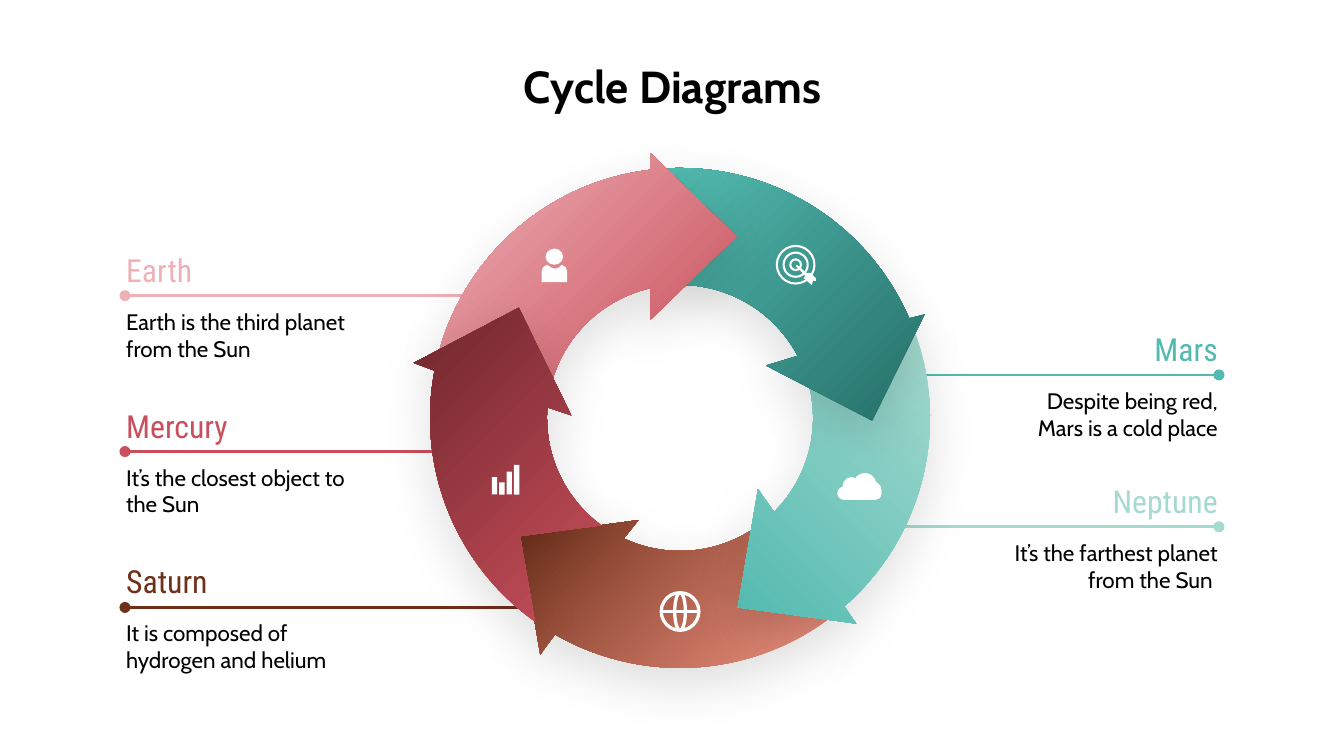
import math
from dataclasses import dataclass

from lxml import etree
from pptx import Presentation
from pptx.dml.color import RGBColor
from pptx.enum import shapes, text
from pptx.oxml import ns
from pptx import util as u

KIND = shapes.MSO_SHAPE
SIDE = text.PP_ALIGN


@dataclass(frozen=True)
class Theme:
    """Colours, fonts and type sizes of the slide."""
    ink: str = "000000"
    white: str = "FFFFFF"
    pink: str = "EEB1B6"
    red: str = "C84F5B"
    wine: str = "6F262D"
    brown: str = "6F301A"
    coral: str = "EE9281"
    teal: str = "52BAB0"
    pine: str = "256F68"
    mint: str = "A5DACF"
    body_font: str = "Cabin"
    label_font: str = "Roboto Condensed"
    title_size: int = 24
    label_size: int = 17
    body_size: int = 12


THEME = Theme()
OUTER, INNER = 1.86, 0.99

LEFT_LABELS = [
    (2.2, 4.04, "Earth", "Earth is the third planet from the Sun", THEME.pink),
    (3.36, 3.7, "Mercury", "It’s the closest object to the Sun", THEME.red),
    (4.52, 4.85, "Saturn", "It is composed of hydrogen and helium", THEME.brown),
]
RIGHT_LABELS = [
    (2.79, 6.12, "Mars", "Despite being red,\vMars is a cold place", THEME.teal),
    (3.92, 6.37, "Neptune", "It’s the farthest planet from the Sun ", THEME.mint),
]
ARROWS = [
    (THEME.coral, THEME.brown, 135, [(0.53, 0.84), (0.43, 1.41), (1.09, 1.5)],
     [(-0.93, 1.61), (-1.04, 1.76), (-1.19, 0.88), (-0.31, 0.76), (-0.42, 0.9)]),
    (THEME.mint, THEME.teal, 225, [(0.96, -0.22), (1.43, 0.02), (1.75, -0.62)],
     [(1.22, 1.4), (1.31, 1.53), (0.43, 1.41), (0.58, 0.53), (0.7, 0.7)]),
    (THEME.pine, THEME.teal, 135, [(0.04, -0.98), (-0.09, -1.85)],
     [(1.7, -0.74), (1.82, -0.77), (1.43, 0.02), (0.64, -0.39), (0.87, -0.46)]),
    (THEME.red, THEME.pink, 135, [(-0.94, -0.3), (-1.2, -0.82), (-1.78, -0.51)],
     [(-0.22, -1.84), (-0.22, -1.97), (0.42, -1.35), (-0.22, -0.73), (-0.22, -0.96)]),
    (THEME.red, THEME.wine, 135, [(-0.59, 0.8), (-1.19, 0.88), (-1.08, 1.51)],
     [(-1.82, -0.35), (-1.98, -0.41), (-1.2, -0.82), (-0.81, -0.02), (-0.99, -0.08)]),
]


def rgb(value):
    """Turn a hex value into a colour."""
    return RGBColor.from_string(value)


def add_text(page, area, words, align, anchor, color, **font):
    """Place one paragraph of formatted text in an area."""
    box = page.shapes.add_textbox(*map(u.Inches, area))
    frame = box.text_frame
    margins = {f"margin_{side}": u.Inches(0.1) for side in ("left", "top", "right", "bottom")}
    for name, value in {"word_wrap": True, "vertical_anchor": anchor, **margins}.items():
        setattr(frame, name, value)
    para = frame.paragraphs[0]
    para.text = words
    para.alignment = align
    for span in para.runs:
        for name, value in font.items():
            setattr(span.font, name, value)
        span.font.color.rgb = rgb(color)


def add_line(page, start, end, color, width, dot=False):
    """Draw a straight line, with an optional dot at its start."""
    line = page.shapes.add_connector(shapes.MSO_CONNECTOR.STRAIGHT, *map(u.Inches, start + end))
    line.line.color.rgb = rgb(color)
    line.line.width = u.Pt(width)
    if dot:
        etree.SubElement(line.line._get_or_add_ln(), ns.qn("a:headEnd"), type="oval")
    etree.SubElement(line._element.spPr, ns.qn("a:effectLst"))


def add_outline(page, origin, points):
    """Build a closed, unlined outline from points around an origin."""
    spots = [(u.Inches(origin[0] + x), u.Inches(origin[1] + y)) for x, y in points]
    builder = page.shapes.build_freeform(*spots[0])
    builder.add_line_segments(spots[1:], close=True)
    shape = builder.convert_to_shape()
    shape.line.fill.background()
    shape.shadow.inherit = False
    return shape


def add_white(page, kind, area, stroke=None):
    """Add a white preset shape, filled or only stroked."""
    shape = page.shapes.add_shape(kind, *map(u.Inches, area))
    shape.shadow.inherit = False
    if stroke:
        shape.fill.background()
        shape.line.color.rgb = rgb(THEME.white)
        shape.line.width = u.Pt(stroke)
    else:
        shape.fill.solid()
        shape.fill.fore_color.rgb = rgb(THEME.white)
        shape.line.fill.background()
    return shape


def add_rings(page, center, radii, stroke):
    """Stroke white ellipses around one centre."""
    x, y = center
    for across, down in radii:
        add_white(page, KIND.OVAL, (x - across, y - down, 2 * across, 2 * down), stroke)


def arc(radius, start, end, clockwise):
    """Sample the ring between the directions of two points."""
    first, last = (math.atan2(y, x) for x, y in (start, end))
    sweep = (last - first) % math.tau if clockwise else -((first - last) % math.tau)
    steps = 40
    angles = [first + sweep * step / steps for step in range(steps + 1)]
    return [(radius * math.cos(angle), radius * math.sin(angle)) for angle in angles]


def add_arrow(page, center, start_color, end_color, angle, tail, head):
    """Add one shaded arrow of the cycle."""
    points = (tail + arc(OUTER, tail[-1], head[0], True) + head
              + arc(INNER, head[-1], tail[0], False))
    shape = add_outline(page, center, points)
    shape.fill.gradient()
    shape.fill.gradient_angle = angle
    for stop, color in zip(shape.fill.gradient_stops, (start_color, end_color)):
        stop.color.rgb = rgb(color)
    effects = shape._element.spPr.find(ns.qn("a:effectLst"))
    shadow = etree.SubElement(effects, ns.qn("a:outerShdw"), blurRad=str(u.Pt(27)),
                              dist=str(u.Pt(9)), dir="5400000", algn="bl", rotWithShape="0")
    tint = etree.SubElement(shadow, ns.qn("a:srgbClr"), val=THEME.ink)
    etree.SubElement(tint, ns.qn("a:alpha"), val="12000")


def add_person(page, left, top):
    """Draw a person icon."""
    add_white(page, KIND.OVAL, (left + 0.03, top, 0.13, 0.12))
    body = add_outline(page, (left, top), [
        (0.04, 0.12), (0.07, 0.14), (0.1, 0.15), (0.13, 0.14), (0.15, 0.12),
        (0.18, 0.14), (0.19, 0.17), (0.19, 0.25), (0, 0.25), (0, 0.17), (0.01, 0.14)])
    body.fill.solid()
    body.fill.fore_color.rgb = rgb(THEME.white)


def add_bars(page, left, top):
    """Draw a bar icon."""
    for index, height in enumerate((0.13, 0.09, 0.17, 0.22)):
        add_white(page, KIND.RECTANGLE, (left + 0.055 * index, top + 0.22 - height, 0.04, height))


def add_cloud(page, left, top):
    """Draw a cloud icon."""
    for x, y, size in ((0.12, 0, 0.17), (0.04, 0.03, 0.13), (0.19, 0.06, 0.14)):
        add_white(page, KIND.OVAL, (left + x, top + y, size, size))
    base = add_white(page, KIND.ROUNDED_RECTANGLE, (left, top + 0.1, 0.33, 0.1))
    base.adjustments[0] = 0.5


def add_globe(page, x, y):
    """Draw a globe icon around a centre."""
    add_rings(page, (x, y), ((0.14, 0.14), (0.04, 0.14)), 1.75)
    add_line(page, (x - 0.14, y), (x + 0.14, y), THEME.white, 1.75)


def add_target(page, x, y):
    """Draw a target icon around a centre."""
    add_rings(page, (x, y), ((0.14, 0.14), (0.09, 0.09), (0.04, 0.04)), 1.1)
    dart = add_outline(page, (x, y), [
        (0, 0.01), (0.07, 0.08), (0.06, 0.1), (0.12, 0.15), (0.13, 0.12),
        (0.15, 0.12), (0.15, 0.1), (0.11, 0.06), (0.08, 0.06), (0.01, 0)])
    dart.fill.solid()
    dart.fill.fore_color.rgb = rgb(THEME.white)


def add_cycle(page, x, y):
    """Draw the ring of arrows and its icons around a centre."""
    for arrow in ARROWS:
        add_arrow(page, (x, y), *arrow)
    add_person(page, x - 1.03, y - 1.26)
    add_bars(page, x - 1.4, y + 0.35)
    add_cloud(page, x + 1.17, y + 0.41)
    add_globe(page, x, y + 1.44)
    add_target(page, x + 0.86, y - 1.14)


def add_label(page, edge, align, level, reach, name, words, color):
    """Place a heading, its rule and its note against an outer edge."""
    on_right = align == SIDE.RIGHT
    dot = edge - 0.09 if on_right else edge + 0.09
    add_line(page, (dot, level), (reach, level), color, 1.5, dot=True)
    for content, width, offset, height, tone, face, size in (
            (name, 1.75, -0.43, 0.47, color, THEME.label_font, THEME.label_size),
            (words, 1.94, 0, 0.58, THEME.ink, THEME.body_font, THEME.body_size)):
        left = edge - width if on_right else edge
        add_text(page, (left, level + offset, width, height), content, align,
                 text.MSO_ANCHOR.MIDDLE, tone, name=face, size=u.Pt(size))


def main():
    """Build and save the deck."""
    deck = Presentation()
    deck.slide_width = u.Inches(10)
    deck.slide_height = deck.slide_width * 9 // 16
    page = deck.slides.add_slide(deck.slide_layouts[6])
    for edge, align, labels in ((0.84, SIDE.LEFT, LEFT_LABELS), (9.16, SIDE.RIGHT, RIGHT_LABELS)):
        for label in labels:
            add_label(page, edge, align, *label)
    add_text(page, (0.2, 0.34, 9.61, 0.63), "Cycle Diagrams", SIDE.CENTER, text.MSO_ANCHOR.TOP,
             THEME.ink, name=THEME.body_font, size=u.Pt(THEME.title_size), bold=True)
    add_cycle(page, 5.06, 3.11)
    deck.save("out.pptx")


if __name__ == "__main__":
    main()
